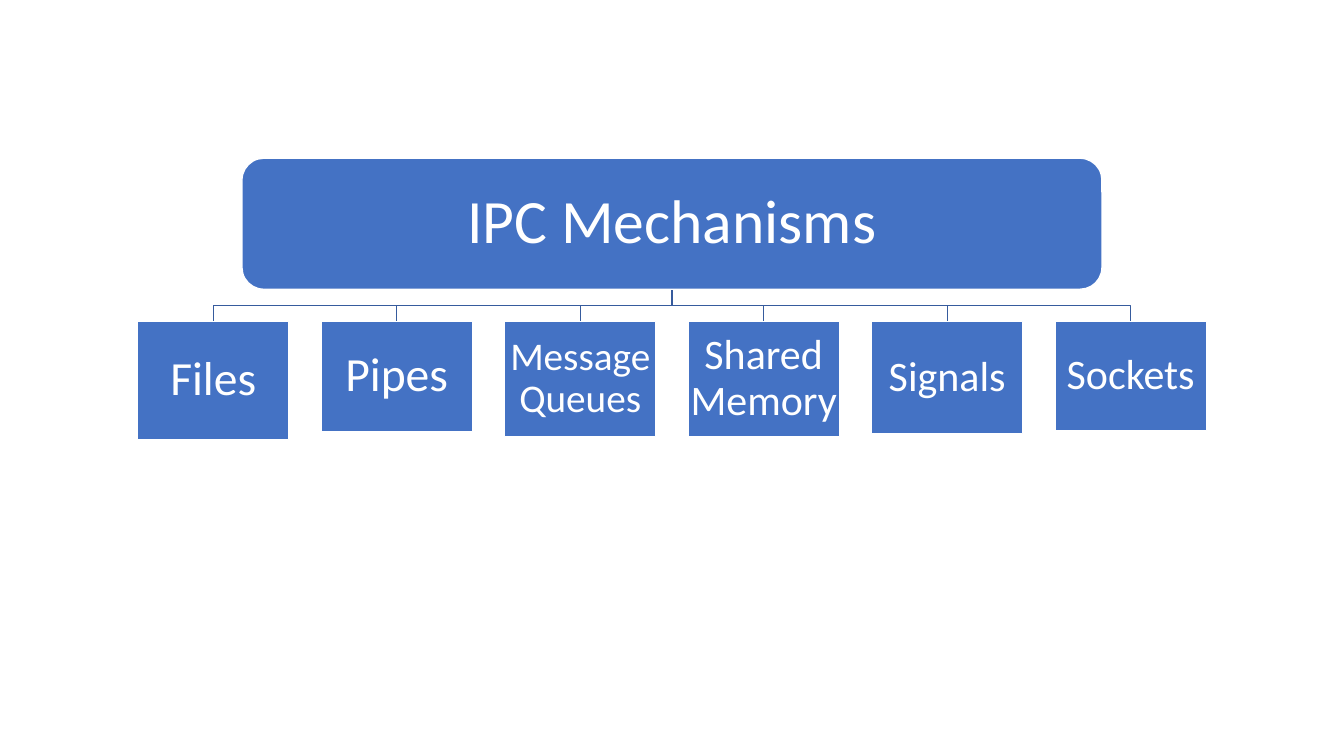
"""Build a slide with a tree of IPC mechanisms."""
from pptx import Presentation
from pptx.dml.color import RGBColor
from pptx.enum.shapes import MSO_SHAPE
from pptx.enum.text import MSO_ANCHOR, PP_ALIGN
from pptx.util import Inches, Pt

RECTANGLE = MSO_SHAPE.RECTANGLE
ROUNDED = MSO_SHAPE.ROUNDED_RECTANGLE
MIDDLE = MSO_ANCHOR.MIDDLE
CENTER = PP_ALIGN.CENTER

BLUE = RGBColor(0x44, 0x72, 0xC4)
BRANCH_BLUE = RGBColor(0x36, 0x5B, 0x9D)
WHITE = RGBColor(0xFF, 0xFF, 0xFF)
FONT = "Calibri"

ROOT = "IPC Mechanisms"
MECHANISMS = [
    ("Files", 1.17, 34),
    ("Pipes", 1.09, 34),
    ("Message Queues", 1.14, 28),
    ("Shared Memory", 1.14, 30),
    ("Signals", 1.11, 30),
    ("Sockets", 1.08, 30),
]

SLIDE_WIDTH, SLIDE_HEIGHT = 13.33, 7.5
CENTER_X = SLIDE_WIDTH / 2
ROOT_TOP, ROOT_WIDTH, ROOT_HEIGHT = 1.57, 8.53, 1.3
ROOT_BOTTOM = ROOT_TOP + ROOT_HEIGHT
LEAF_TOP, LEAF_WIDTH, LEAF_PITCH = 3.19, 1.5, 1.82
BRANCH_Y = (ROOT_BOTTOM + LEAF_TOP) / 2


def add_branch(slide, leaf_x):
    """Draw the elbow line from the root down to one leaf."""
    builder = slide.shapes.build_freeform(Inches(CENTER_X), Inches(ROOT_BOTTOM))
    corners = [(CENTER_X, BRANCH_Y), (leaf_x, BRANCH_Y), (leaf_x, LEAF_TOP)]
    builder.add_line_segments([(Inches(x), Inches(y)) for x, y in corners], close=False)
    branch = builder.convert_to_shape()
    branch.shadow.inherit = False
    branch.fill.background()
    branch.line.color.rgb = BRANCH_BLUE
    branch.line.width = Pt(1)


def add_node(slide, outline, center_x, top, width, height, label, size, inset):
    """Draw one labelled box centred on center_x."""
    node = slide.shapes.add_shape(
        outline, Inches(center_x - width / 2), Inches(top), Inches(width), Inches(height)
    )
    node.shadow.inherit = False
    node.fill.solid()
    node.fill.fore_color.rgb = BLUE
    node.line.color.rgb = WHITE
    node.line.width = Pt(1)
    frame = node.text_frame
    frame.word_wrap = True
    frame.vertical_anchor = MIDDLE
    frame.margin_left = frame.margin_right = Inches(inset)
    frame.margin_top = frame.margin_bottom = Inches(inset)
    paragraph = frame.paragraphs[0]
    paragraph.text = label
    paragraph.alignment = CENTER
    paragraph.line_spacing = 0.9
    paragraph.font.name = FONT
    paragraph.font.size = Pt(size)
    paragraph.font.color.rgb = WHITE
    return node


def main():
    """Lay out the tree and save the deck."""
    deck = Presentation()
    deck.slide_width, deck.slide_height = Inches(SLIDE_WIDTH), Inches(SLIDE_HEIGHT)
    slide = deck.slides.add_slide(deck.slide_layouts[6])

    middle = (len(MECHANISMS) - 1) / 2
    leaf_centers = [CENTER_X + (i - middle) * LEAF_PITCH for i in range(len(MECHANISMS))]
    for leaf_x in reversed(leaf_centers):
        add_branch(slide, leaf_x)

    add_node(slide, ROUNDED, CENTER_X, ROOT_TOP, ROOT_WIDTH, ROOT_HEIGHT, ROOT, 44, 0.03)
    for leaf_x, (label, height, size) in zip(leaf_centers, MECHANISMS):
        add_node(slide, RECTANGLE, leaf_x, LEAF_TOP, LEAF_WIDTH, height, label, size, 0.02)

    deck.save("out.pptx")


if __name__ == "__main__":
    main()
